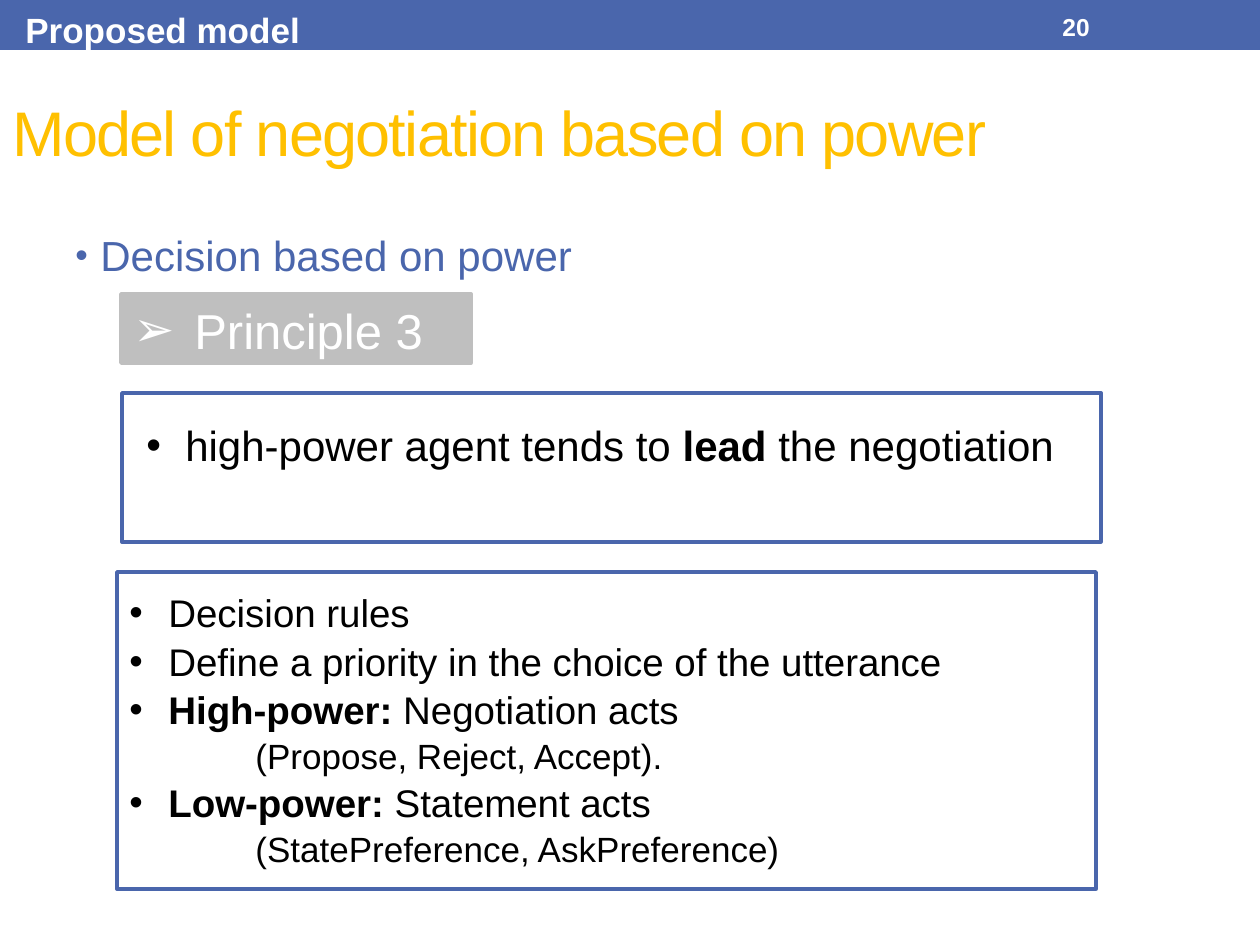
from dataclasses import dataclass

from lxml import etree
from pptx import Presentation
from pptx.dml.color import RGBColor
from pptx.enum import shapes, text
from pptx.oxml import ns
from pptx.util import Emu, Pt

EMU_PER_PX = 914400 / 126


@dataclass(frozen=True)
class Theme:
    """Colours and type sizes of the slide."""
    font: str = "Arial"
    blue: str = "4A66AC"
    gold: str = "FFC000"
    grey: str = "BFBFBF"
    white: str = "FFFFFF"
    black: str = "000000"
    title: int = 36
    principle: int = 28
    body: int = 24
    rule: int = 22
    header: int = 20
    example: int = 20
    number: int = 14
    border: float = 2.08
    leading: float = 1.05


THEME = Theme()


def px(length):
    """Turn pixels into EMU."""
    return Emu(round(length * EMU_PER_PX))


def color(code):
    """Turn a hex code into a colour."""
    return RGBColor.from_string(code)


def add_panel(page, area, fill=None, line=None):
    """Add a rectangle with an optional fill and border."""
    panel = page.shapes.add_shape(shapes.MSO_SHAPE.RECTANGLE, *map(px, area))
    panel.shadow.inherit = False
    if fill:
        panel.fill.solid()
        panel.fill.fore_color.rgb = color(fill)
    else:
        panel.fill.background()
    if line:
        panel.line.color.rgb = color(line)
        panel.line.width = Pt(THEME.border)
    else:
        panel.line.fill.background()
    return panel


def add_text_box(page, area, middle=False, wrap=True):
    """Add an empty text box."""
    box = page.shapes.add_textbox(*map(px, area))
    box.text_frame.word_wrap = wrap
    if middle:
        box.text_frame.vertical_anchor = text.MSO_ANCHOR.MIDDLE
    return box


def set_bullet(para, mark, hang, tint=None, percent=None):
    """Give a paragraph a hanging bullet."""
    props = para._p.get_or_add_pPr()
    props.set("marL", str(px(hang)))
    props.set("indent", str(-px(hang)))
    if tint:
        holder = etree.SubElement(props, ns.qn("a:buClr"))
        etree.SubElement(holder, ns.qn("a:srgbClr"), val=tint)
    if percent:
        etree.SubElement(props, ns.qn("a:buSzPct"), val=str(percent * 1000))
    etree.SubElement(props, ns.qn("a:buFont"), typeface=THEME.font)
    etree.SubElement(props, ns.qn("a:buChar"), char=mark)


def write(para, spans, size, tint):
    """Fill a paragraph with (wording, bold) spans."""
    para.alignment = text.PP_ALIGN.LEFT
    para.line_spacing = THEME.leading
    for wording, bold in spans:
        span = para.add_run()
        span.text = wording
        span.font.name = THEME.font
        span.font.size = Pt(size)
        span.font.bold = bold
        span.font.color.rgb = color(tint)


def add_header(page):
    """Add the top band, section name, page number and title."""
    add_panel(page, (0, 0, 1260, 50), fill=THEME.blue)
    number = add_text_box(page, (1050, 3, 147, 45), middle=True)
    write(number.text_frame.paragraphs[0], [("20", True)], THEME.number, THEME.white)
    section = add_text_box(page, (13, 0, 302, 55), wrap=False)
    write(section.text_frame.paragraphs[0], [("Proposed model", True)],
          THEME.header, THEME.white)
    title = add_text_box(page, (0, 50, 1235, 158), middle=True)
    para = title.text_frame.paragraphs[0]
    write(para, [("Model of negotiation based on power", False)],
          THEME.title, THEME.gold)
    para.runs[0].font._element.set("spc", "-100")


def add_principle(page):
    """Add the topic line, the principle label and its statement."""
    topic = add_text_box(page, (63, 221, 1134, 73)).text_frame.paragraphs[0]
    set_bullet(topic, "•", 25, THEME.blue, 85)
    write(topic, [("Decision based on power", False)], THEME.body, THEME.blue)

    label = add_panel(page, (121, 294, 350, 69), THEME.grey, THEME.grey)
    label.text_frame.vertical_anchor = text.MSO_ANCHOR.MIDDLE
    para = label.text_frame.paragraphs[0]
    set_bullet(para, "➢", 61)
    write(para, [("Principle 3", False)], THEME.principle, THEME.white)

    add_panel(page, (122, 393, 979, 149), line=THEME.blue)
    statement = add_text_box(page, (134, 411, 942, 63)).text_frame.paragraphs[0]
    set_bullet(statement, "•", 39)
    write(statement, [("high-power agent tends to ", False), ("lead", True),
                      (" the negotiation", False)], THEME.body, THEME.black)


def add_rules(page):
    """Add the framed list of decision rules with their examples."""
    rules = [
        ([("Decision rules", False)], None),
        ([("Define a priority in the choice of the utterance", False)], None),
        ([("High-power: ", True), ("Negotiation acts", False)],
         "(Propose, Reject, Accept)."),
        ([("Low-power: ", True), ("Statement acts", False)],
         "(StatePreference, AskPreference)"),
    ]
    add_panel(page, (117, 572, 979, 317), line=THEME.blue)
    frame = add_text_box(page, (117, 581, 979, 285)).text_frame
    for index, (spans, example) in enumerate(rules):
        para = frame.add_paragraph() if index else frame.paragraphs[0]
        set_bullet(para, "•", 39)
        write(para, spans, THEME.rule, THEME.black)
        if example:
            para = frame.add_paragraph()
            para.level = 2
            para._p.get_or_add_pPr().set("marL", str(px(126)))
            para._p.get_or_add_pPr().set("indent", "0")
            write(para, [(example, False)], THEME.example, THEME.black)


def main():
    """Build and save the slide."""
    deck = Presentation()
    deck.slide_width, deck.slide_height = px(1260), px(945)
    page = deck.slides.add_slide(deck.slide_layouts[6])
    add_header(page)
    add_principle(page)
    add_rules(page)
    deck.save("out.pptx")


if __name__ == "__main__":
    main()
